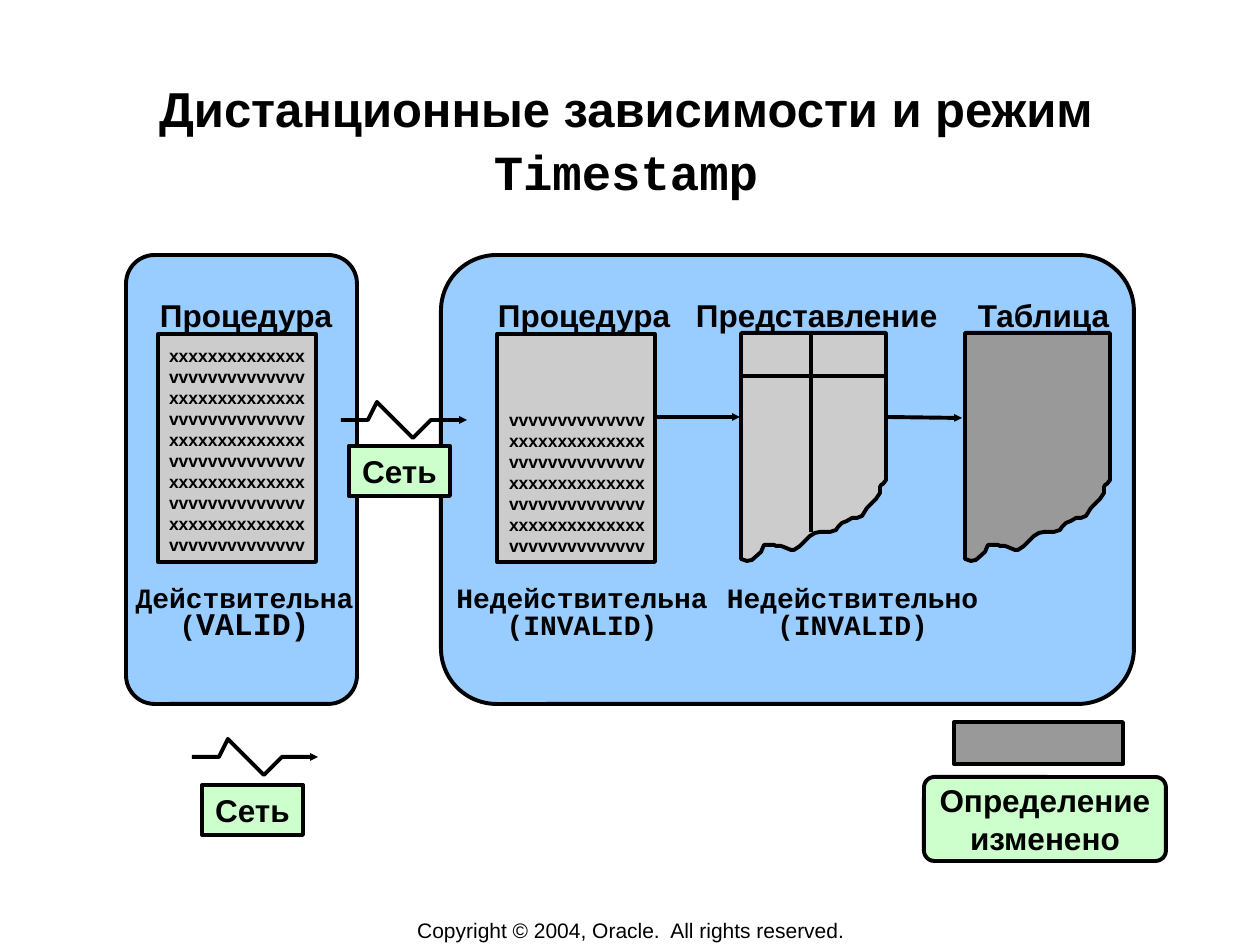
from lxml import etree
from pptx import Presentation
from pptx import util as u
from pptx.dml.color import RGBColor
from pptx.enum import shapes, text
from pptx.oxml import ns

PX = 7257.143  # EMU per px, 126 px to the inch
BLACK = RGBColor(0x00, 0x00, 0x00)
BLUE = RGBColor(0x99, 0xCC, 0xFF)
GREEN = RGBColor(0xCC, 0xFF, 0xCC)
LIGHT_GRAY = RGBColor(0xCC, 0xCC, 0xCC)
DARK_GRAY = RGBColor(0x99, 0x99, 0x99)
SANS, MONO = "Arial", "Courier New"
KIND = shapes.MSO_SHAPE
LEFT, CENTER = text.PP_ALIGN.LEFT, text.PP_ALIGN.CENTER
TOP, MIDDLE = text.MSO_ANCHOR.TOP, text.MSO_ANCHOR.MIDDLE

deck = Presentation()
deck.slide_width, deck.slide_height = u.Emu(9144000), u.Emu(6858000)
page = deck.slides.add_slide(deck.slide_layouts[6])


def write(box, lines, pitch, align=CENTER, anchor=TOP, insets=(0, 6, 0, 6), bold=True):
    """Fill a box; each line is a list of (words, font, size), pitch is in points."""
    frame = box.text_frame
    frame.word_wrap = True
    frame.vertical_anchor = anchor
    (frame.margin_left, frame.margin_top,
     frame.margin_right, frame.margin_bottom) = [round(i * PX) for i in insets]
    for index, spans in enumerate(lines):
        para = frame.add_paragraph() if index else frame.paragraphs[0]
        para.alignment = align
        para.line_spacing = u.Pt(pitch)
        for words, font, size in spans:
            span = para.add_run()
            span.text = words
            span.font.name, span.font.size, span.font.bold = font, u.Pt(size), bold
            span.font.color.rgb = BLACK


def outline(item, fill=None, arrow=False):
    """Give a shape or connector its black line, fill and arrowhead, with no shadow."""
    item.line.color.rgb = BLACK
    item.line.width = u.Pt(2.25)
    if arrow:
        etree.SubElement(item.line._get_or_add_ln(), ns.qn("a:tailEnd"),
                         type="triangle", w="sm", len="sm")
    if item.shape_type == shapes.MSO_SHAPE_TYPE.LINE:
        etree.SubElement(item._element.spPr, ns.qn("a:effectLst"))
        return
    item.shadow.inherit = False
    if fill is None:
        item.fill.background()
    else:
        item.fill.solid()
        item.fill.fore_color.rgb = fill


# Sites, procedure bodies, legend and network labels
boxes = [
    (KIND.ROUNDED_RECTANGLE, 126, 255, 231, 449, BLUE, []),
    (KIND.ROUNDED_RECTANGLE, 441, 255, 693, 449, BLUE, []),
    (KIND.RECTANGLE, 158, 334, 158, 228, LIGHT_GRAY, []),
    (KIND.RECTANGLE, 497, 334, 158, 228, LIGHT_GRAY, []),
    (KIND.RECTANGLE, 349, 446, 101, 50, GREEN, ["Сеть"]),
    (KIND.RECTANGLE, 202, 785, 101, 50, GREEN, ["Сеть"]),
    (KIND.ROUNDED_RECTANGLE, 924, 777, 242, 84, GREEN, ["Определение", "изменено"]),
    (KIND.RECTANGLE, 954, 722, 169, 42, DARK_GRAY, []),
]
for kind, *place, fill, lines in boxes:
    box = page.shapes.add_shape(kind, *[round(v * PX) for v in place])
    if kind == KIND.ROUNDED_RECTANGLE:
        box.adjustments[0] = 0.124
    outline(box, fill)
    if lines:
        write(box, [[(line, SANS, 18)] for line in lines], 21.5, anchor=MIDDLE)

# View and table as torn sheets
TORN_EDGE = [
    (0, 226), (6, 228), (11, 227), (20, 219), (23, 212), (33, 212), (35, 213),
    (40, 213), (45, 215), (50, 217), (53, 217), (59, 213), (63, 209), (69, 203),
    (74, 200), (79, 199), (89, 199), (95, 197), (97, 194), (101, 190), (106, 188),
    (111, 185), (116, 185), (121, 183), (126, 175), (131, 170), (135, 166),
    (137, 163), (139, 160), (139, 154), (140, 152), (142, 151), (145, 147),
]
for left, fill in [(741, LIGHT_GRAY), (965, DARK_GRAY)]:
    builder = page.shapes.build_freeform(left + 145, 333, scale=PX)
    builder.add_line_segments([(left, 333)] + [(left + x, 333 + y) for x, y in TORN_EDGE])
    outline(builder.convert_to_shape(), fill)

# Network bolts
for left, top in [(341, 402), (192, 739)]:
    builder = page.shapes.build_freeform(left, top + 18, scale=PX)
    bolt = [(27, 18), (36, 0), (72, 36), (90, 18), (126, 18)]
    builder.add_line_segments([(left + x, top + y) for x, y in bolt], close=False)
    outline(builder.convert_to_shape(), arrow=True)

# View grid and dependency arrows
for *ends, arrow in [
    (811, 335, 811, 532, False),
    (742, 376, 884, 376, False),
    (656, 417, 740, 417, True),
    (888, 417, 962, 418, True),
]:
    link = page.shapes.add_connector(shapes.MSO_CONNECTOR.STRAIGHT,
                                     *[round(v * PX) for v in ends])
    outline(link, arrow=arrow)

# Text: place, lines, then the settings of write
X_LINE, V_LINE = [("x" * 14, SANS, 10)], [("v" * 14, SANS, 10)]
code = dict(pitch=12, align=LEFT, insets=(10, 5, 0, 5))
label = dict(pitch=21.6, align=LEFT, insets=(13, 6, 0, 6))
status = dict(pitch=15.5, insets=(13, 10, 13, 6))
texts = [
    ((122, 73, 1008, 121), [[("Дистанционные зависимости и режим ", SANS, 28),
                             ("Timestamp", MONO, 28)]],
     dict(pitch=36, insets=(1, 1, 1, 1))),
    ((159, 340, 156, 242), [X_LINE, V_LINE] * 5, code),
    ((499, 404, 156, 178), [V_LINE, X_LINE] * 3 + [V_LINE], code),
    ((147, 290, 198, 50), [[("Процедура", SANS, 18)]], label),
    ((485, 290, 198, 50), [[("Процедура", SANS, 18)]], label),
    ((683, 290, 268, 50), [[("Представление", SANS, 18)]], label),
    ((965, 290, 158, 50), [[("Таблица", SANS, 18)]], label),
    ((105, 577, 284, 69), [[("Действительна (", MONO, 16), ("VALID)", MONO, 18)]],
     dict(status, insets=(8, 10, 13, 6))),
    ((441, 577, 282, 67), [[("Недействительна (INVALID)", MONO, 16)]], status),
    ((697, 577, 311, 67), [[("Недействительно (INVALID)", MONO, 16)]], status),
    ((348, 917, 566, 26), [[("Copyright © 2004, Oracle.  All rights reserved.", SANS, 12)]],
     dict(pitch=14.4, anchor=MIDDLE, insets=(0, 0, 0, 0), bold=False)),
]
for place, lines, settings in texts:
    write(page.shapes.add_textbox(*[round(v * PX) for v in place]), lines, **settings)

deck.save("out.pptx")
